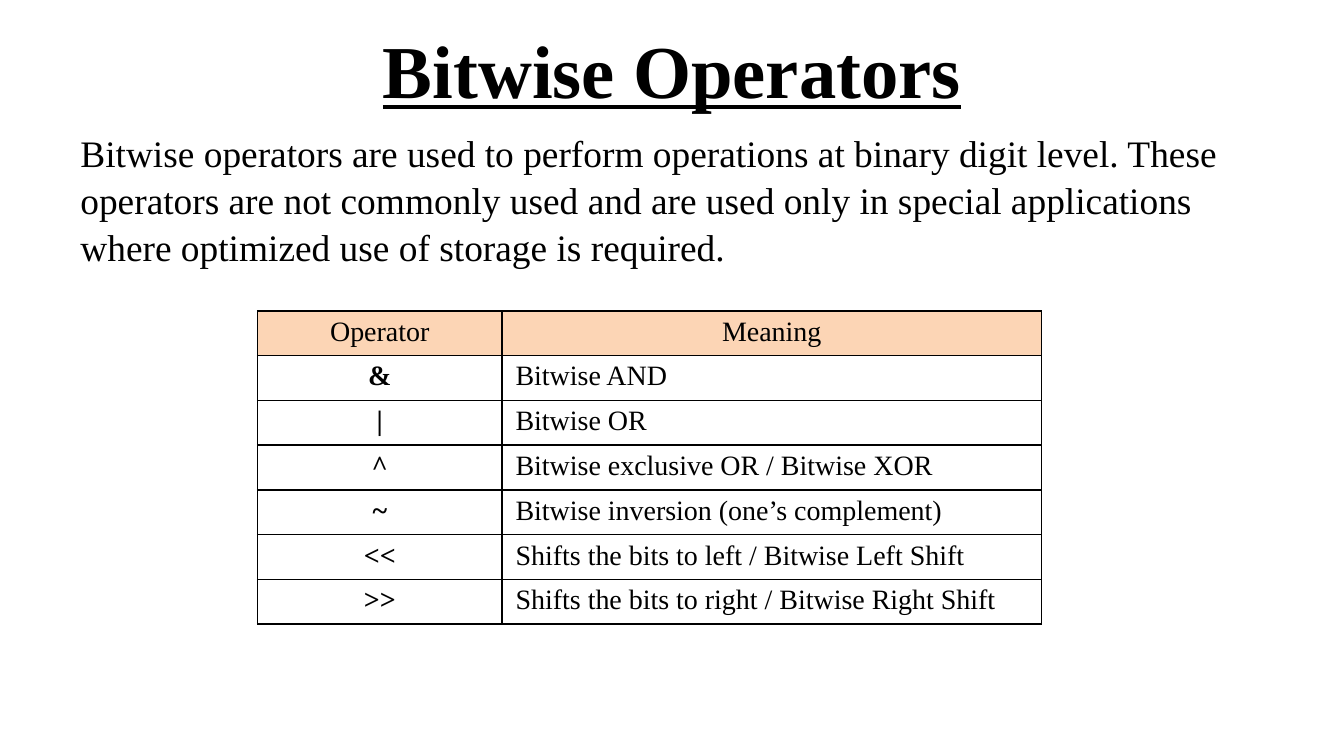
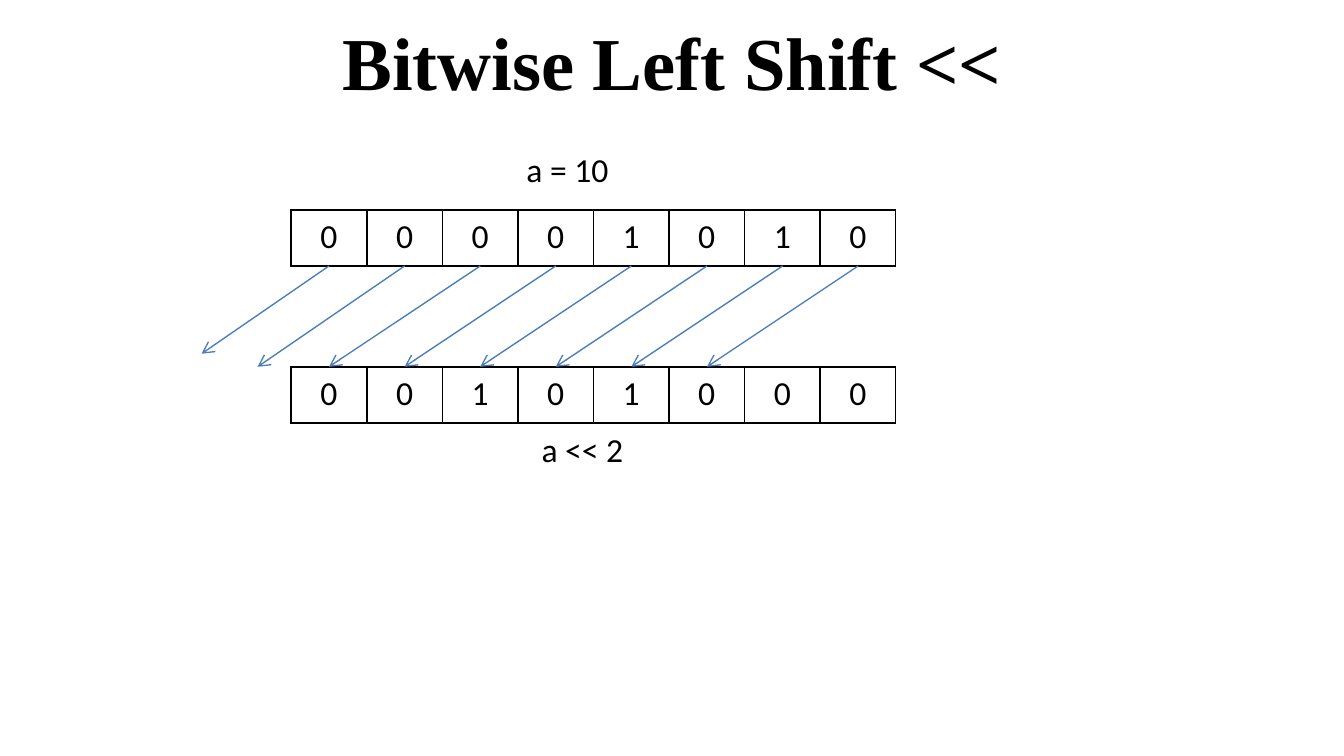
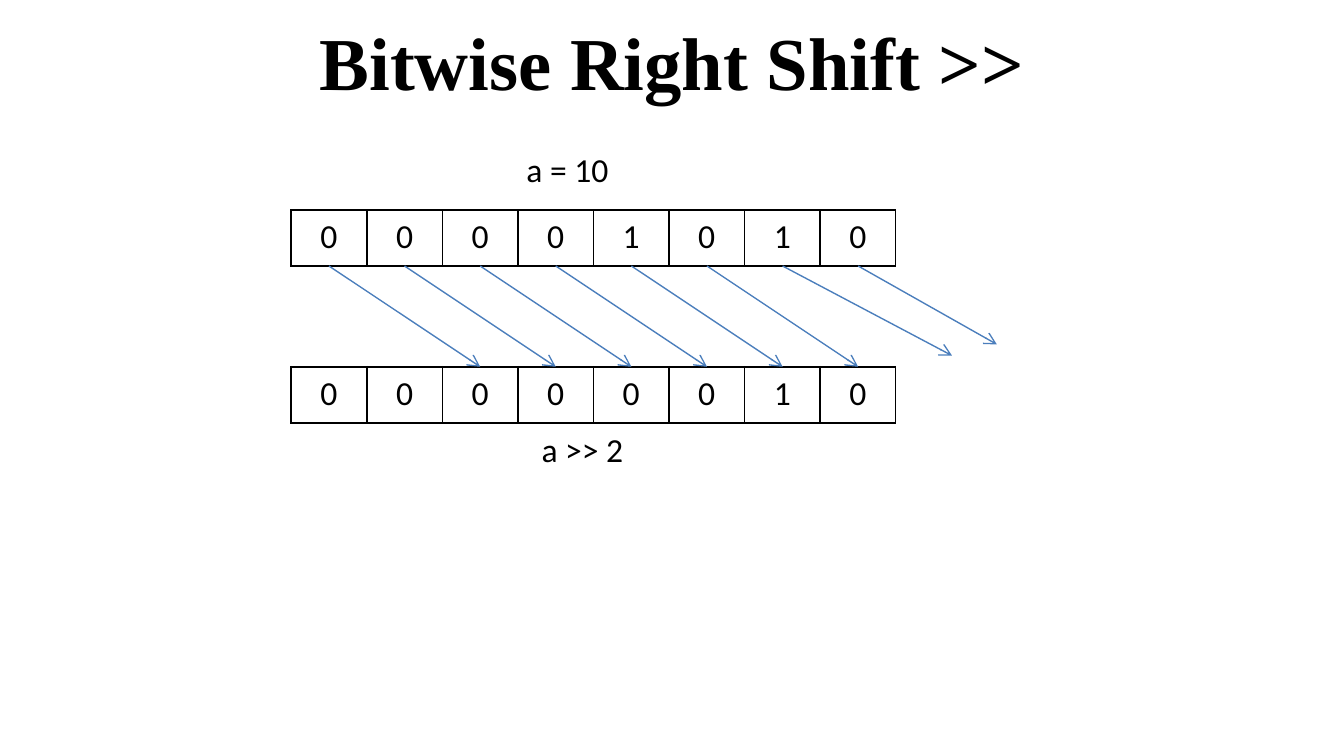
from lxml import etree
from pptx import Presentation
from pptx.dml.color import RGBColor
from pptx.enum.shapes import MSO_CONNECTOR
from pptx.enum.text import MSO_ANCHOR, MSO_AUTO_SIZE, PP_ALIGN
from pptx.oxml.ns import qn
from pptx.util import Pt

BLACK = RGBColor(0x00, 0x00, 0x00)
PEACH = RGBColor(0xFC, 0xD5, 0xB5)
BLUE = RGBColor(0x4B, 0x7E, 0xBC)
SERIF = "Times New Roman"
SANS = "Calibri"
CENTER = PP_ALIGN.CENTER
LEFT = PP_ALIGN.LEFT
MIDDLE = MSO_ANCHOR.MIDDLE
FIT_SHAPE = MSO_AUTO_SIZE.SHAPE_TO_FIT_TEXT
STRAIGHT = MSO_CONNECTOR.STRAIGHT
BLANK_LAYOUT = 6

BIT_WIDTH, BIT_HEIGHT = 40.5, 30
STRIP_GAP = 54
SHIFT = 2

OPERATORS = [
    ("Operator", "Meaning"),
    ("&", "Bitwise AND"),
    ("|", "Bitwise OR"),
    ("^", "Bitwise exclusive OR / Bitwise XOR"),
    ("~", "Bitwise inversion (one’s complement)"),
    ("<<", "Shifts the bits to left / Bitwise Left Shift"),
    (">>", "Shifts the bits to right / Bitwise Right Shift"),
]


def style_para(para, font, size, align=LEFT, bold=False):
    para.alignment = align
    para.font.name = font
    para.font.size = Pt(size)
    para.font.bold = bold
    para.font.color.rgb = BLACK


def add_text(page, box, text, font, size, align=LEFT, bold=False, wrap=True):
    shape = page.shapes.add_textbox(*map(Pt, box))
    frame = shape.text_frame
    frame.word_wrap = wrap
    para = frame.paragraphs[0]
    para.text = text
    style_para(para, font, size, align, bold)
    return frame


def add_title(page, top, text, underline=False):
    frame = add_text(page, (36, top, 648, 67.5), text, SERIF, 40, CENTER, True)
    frame.vertical_anchor = MIDDLE
    frame.paragraphs[0].font.underline = underline


def add_label(page, box, text):
    add_text(page, box, text, SANS, 18, wrap=False).auto_size = FIT_SHAPE


def add_borders(cell):
    props = cell._tc.get_or_add_tcPr()
    for index, side in enumerate(("lnL", "lnR", "lnT", "lnB")):
        line = etree.Element(qn(f"a:{side}"), w=str(Pt(1)))
        fill = etree.SubElement(line, qn("a:solidFill"))
        etree.SubElement(fill, qn("a:srgbClr"), val=str(BLACK))
        props.insert(index, line)


def add_grid(page, left, top, widths, row_height, rows):
    size = (sum(widths), row_height * len(rows))
    frame = page.shapes.add_table(
        len(rows), len(widths), *map(Pt, (left, top, *size)))
    table = frame.table
    table.first_row = False
    table.horz_banding = False
    for column, width in zip(table.columns, widths):
        column.width = Pt(width)
    for row, texts in zip(table.rows, rows):
        row.height = Pt(row_height)
        for cell, text in zip(row.cells, texts):
            cell.text = text
            cell.fill.background()
            add_borders(cell)
    return table


def add_operator_table(page, left, top):
    table = add_grid(page, left, top, (131, 289), 23.4, OPERATORS)
    for row_index, row in enumerate(table.rows):
        header = row_index == 0
        for column_index, cell in enumerate(row.cells):
            symbol = column_index == 0
            cell.margin_top = cell.margin_bottom = Pt(3)
            style_para(cell.text_frame.paragraphs[0], SERIF, 15,
                       CENTER if header or symbol else LEFT,
                       symbol and not header)
            if header:
                cell.fill.solid()
                cell.fill.fore_color.rgb = PEACH


def add_bit_strip(page, left, top, bits):
    table = add_grid(page, left, top, [BIT_WIDTH] * len(bits), BIT_HEIGHT, [bits])
    for cell in table.iter_cells():
        style_para(cell.text_frame.paragraphs[0], SANS, 18, CENTER)


def add_arrow(page, start, end):
    arrow = page.shapes.add_connector(STRAIGHT, *map(Pt, (*start, *end)))
    arrow.line.color.rgb = BLUE
    arrow.line.width = Pt(0.75)
    etree.SubElement(arrow.line._get_or_add_ln(), qn("a:tailEnd"), type="arrow")
    etree.SubElement(arrow._element.spPr, qn("a:effectLst"))


def add_shift_diagram(page, left, top, before, after, operator, step, lost_tips):
    add_bit_strip(page, left, top, before)
    add_label(page, (left + 119, top - 36.5, 61, 29), "a = 10")
    add_bit_strip(page, left, top + BIT_HEIGHT + STRIP_GAP, after)
    result_top = top + 2 * BIT_HEIGHT + STRIP_GAP
    add_label(page, (left + 127, result_top, 59, 29), f"a {operator} {SHIFT}")
    arrow_top = top + BIT_HEIGHT
    for index in range(len(before)):
        start = (index + 0.5) * BIT_WIDTH
        landing = (start + step * BIT_WIDTH, STRIP_GAP)
        tip_x, tip_y = lost_tips.get(index, landing)
        add_arrow(page, (left + start, arrow_top), (left + tip_x, arrow_top + tip_y))


def add_page(deck):
    return deck.slides.add_slide(deck.slide_layouts[BLANK_LAYOUT])


def build_overview(deck):
    page = add_page(deck)
    add_title(page, 3, "Bitwise Operators", underline=True)
    intro = add_text(
        page, (36, 65, 648, 120),
        "Bitwise operators are used to perform operations at binary digit level. "
        "These operators are not commonly used and are used only in special "
        "applications where optimized use of storage is required.", SERIF, 20)
    intro.paragraphs[0].line_spacing = 1.05
    add_operator_table(page, 138, 166.5)


def build_shift(deck, name, operator, after, step, lost_tips):
    page = add_page(deck)
    add_title(page, -1.5, f"Bitwise {name} Shift {operator}")
    add_shift_diagram(page, 156, 112.5, "00001010", after, operator, step, lost_tips)


def main():
    deck = Presentation()
    deck.slide_width, deck.slide_height = Pt(720), Pt(405)
    build_overview(deck)
    build_shift(deck, "Left", "<<", "00101000", -SHIFT, {0: (-48, 47), 1: (-18, 54)})
    build_shift(deck, "Right", ">>", "00000010", SHIFT, {6: (354, 48), 7: (378, 42)})
    deck.save("out.pptx")


if __name__ == "__main__":
    main()
